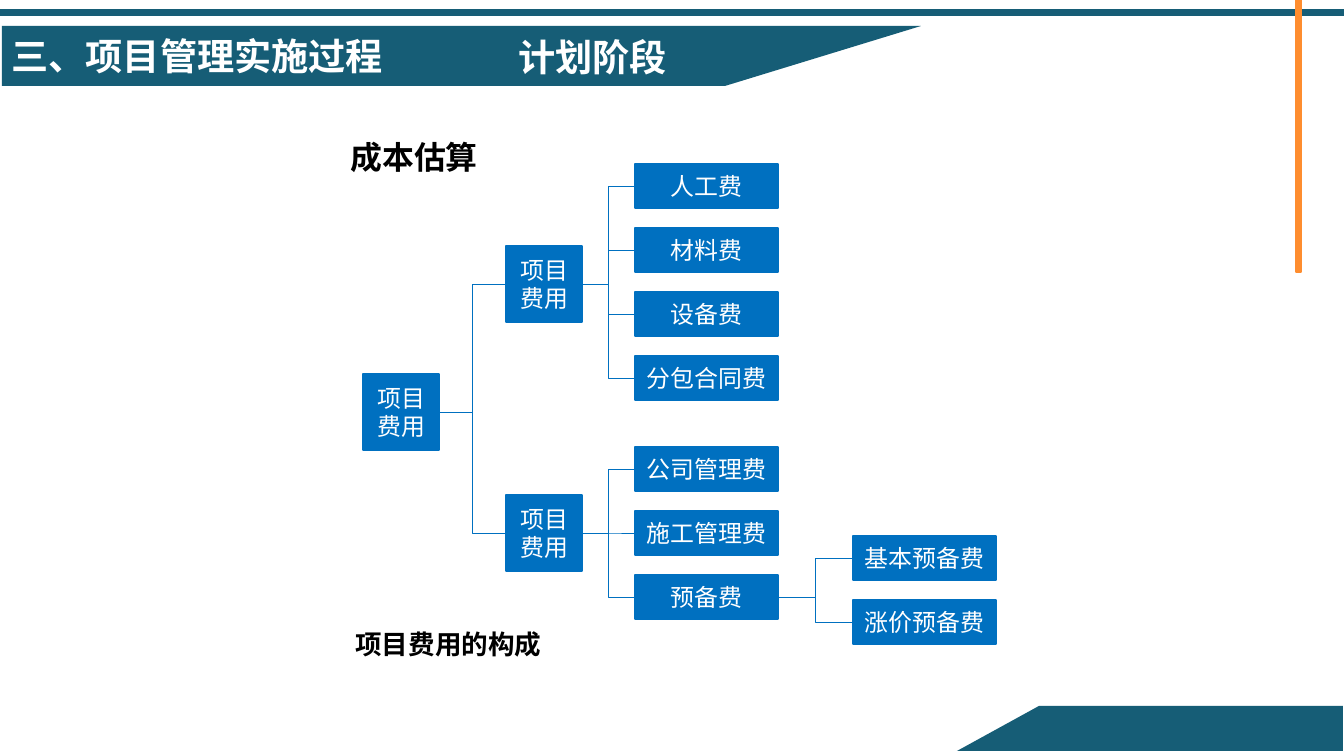
from lxml import etree
from pptx import Presentation
from pptx.dml.color import RGBColor
from pptx.enum.shapes import MSO_CONNECTOR, MSO_SHAPE
from pptx.enum.text import MSO_ANCHOR, MSO_AUTO_SIZE, PP_ALIGN
from pptx.oxml.ns import qn
from pptx.util import Pt

PX = 9565  # EMU per px
TEAL = RGBColor(0x16, 0x5D, 0x76)
ORANGE = RGBColor(0xFE, 0x8D, 0x2F)
BLUE = RGBColor(0x00, 0x70, 0xC0)
WHITE = RGBColor(0xFF, 0xFF, 0xFF)
BLACK = RGBColor(0x00, 0x00, 0x00)
CJK_FONT = "Noto Sans CJK SC"
RECT, ELBOW = MSO_SHAPE.RECTANGLE, MSO_CONNECTOR.ELBOW
TOP, MIDDLE = MSO_ANCHOR.TOP, MSO_ANCHOR.MIDDLE
LEFT, CENTER = PP_ALIGN.LEFT, PP_ALIGN.CENTER
GROW = MSO_AUTO_SIZE.SHAPE_TO_FIT_TEXT
RIGHT_SIDE, LEFT_SIDE = 3, 1


def add_rect(x, y, w, h, color):
    rect = slide.shapes.add_shape(RECT, x * PX, y * PX, w * PX, h * PX)
    rect.shadow.inherit = False
    rect.fill.solid()
    rect.fill.fore_color.rgb = color
    rect.line.color.rgb = color
    rect.line.width = Pt(1)
    return rect


def write(shape, text, size, color, bold=False, align=LEFT, anchor=TOP, font=CJK_FONT):
    shape.text_frame.text = text
    shape.text_frame.vertical_anchor = anchor
    paragraph = shape.text_frame.paragraphs[0]
    paragraph.alignment = align
    paragraph.font.size = Pt(size)
    paragraph.font.bold = bold
    paragraph.font.color.rgb = color
    paragraph.font.name = font
    defaults = paragraph._p.pPr.find(qn("a:defRPr"))
    etree.SubElement(defaults, qn("a:ea")).set("typeface", CJK_FONT)


prs = Presentation()
prs.slide_width, prs.slide_height = 1344 * PX, 756 * PX
slide = prs.slides.add_slide(prs.slide_layouts[5])

# Bars at the top and right
add_rect(0, 10, 1344, 5, TEAL)
for y, height in [(0, 81), (62, 210)]:
    add_rect(1296, y, 5, height, ORANGE)

# Slanted title band and footer band
title_band = [(2, 26), (921, 26), (725, 86), (2, 86)]
footer_band = [(957, 751), (1039, 706), (1343, 706), (1343, 751)]
for corners in (title_band, footer_band):
    builder = slide.shapes.build_freeform(*corners[0], scale=PX)
    builder.add_line_segments(corners[1:], close=True)
    band = builder.convert_to_shape()
    band.shadow.inherit = False
    band.fill.solid()
    band.fill.fore_color.rgb = TEAL
    band.line.fill.background()

# Title, brought in front of its band
title = slide.shapes.title
title.left, title.top, title.width, title.height = 2 * PX, 29 * PX, 468 * PX, 55 * PX
write(title, "三、项目管理实施过程", 28, WHITE, bold=True)
title.text_frame.auto_size = GROW
slide.shapes._spTree.append(title._element)

# Stage name, heading and caption
labels = [
    ("计划阶段", 509, 30, 185, 54, 28, WHITE, "Calibri", True),
    ("成本估算", 341, 133, 148, 48, 24, BLACK, CJK_FONT, False),
    ("项目费用的构成", 346, 623, 207, 42, 20, BLACK, CJK_FONT, False),
]
for text, x, y, w, h, size, color, font, wrap in labels:
    label = slide.shapes.add_textbox(x * PX, y * PX, w * PX, h * PX)
    write(label, text, size, color, bold=True, font=font)
    label.text_frame.word_wrap = wrap
    label.text_frame.auto_size = GROW

# Cost tree: key, parent, left, first top, size, texts stacked at one pitch
PITCH = 64
SQUARE, BAR = (76, 76), (143, 44)
cost_groups = [
    ("total", None, 363, 374, SQUARE, ["项目费用"]),
    ("direct", "total", 506, 246, SQUARE, ["项目费用"]),
    ("indirect", "total", 506, 495, SQUARE, ["项目费用"]),
    ("direct items", "direct", 635, 164, BAR, ["人工费", "材料费", "设备费", "分包合同费"]),
    ("reserve", "indirect", 635, 447, BAR, ["公司管理费", "施工管理费", "预备费"]),
    ("reserve items", "reserve", 853, 536, BAR, ["基本预备费", "涨价预备费"]),
]
last_box = {}
for key, parent, x, first_top, size, texts in cost_groups:
    for row, text in enumerate(texts):
        box = add_rect(x, first_top + row * PITCH, *size, BLUE)
        write(box, text, 18, WHITE, align=CENTER, anchor=MIDDLE)
        box.text_frame.word_wrap = True
        last_box[key] = box
        if parent:
            branch = slide.shapes.add_connector(ELBOW, 0, 0, 0, 0)
            branch.begin_connect(last_box[parent], RIGHT_SIDE)
            branch.end_connect(box, LEFT_SIDE)
            branch.line.color.rgb = BLUE
            branch.line.width = Pt(0.5)
            etree.SubElement(branch._element.spPr, qn("a:effectLst"))

prs.save("out.pptx")
